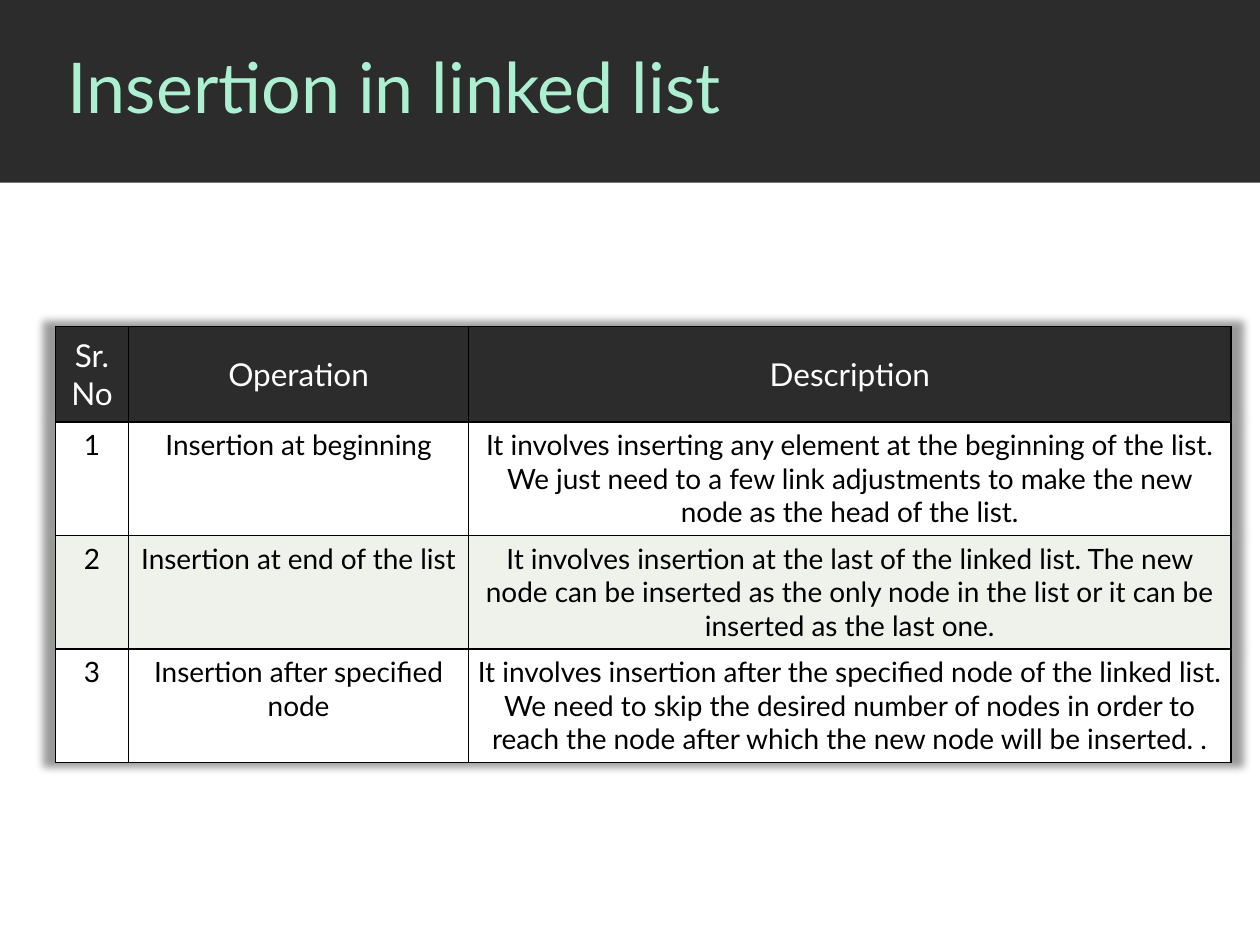
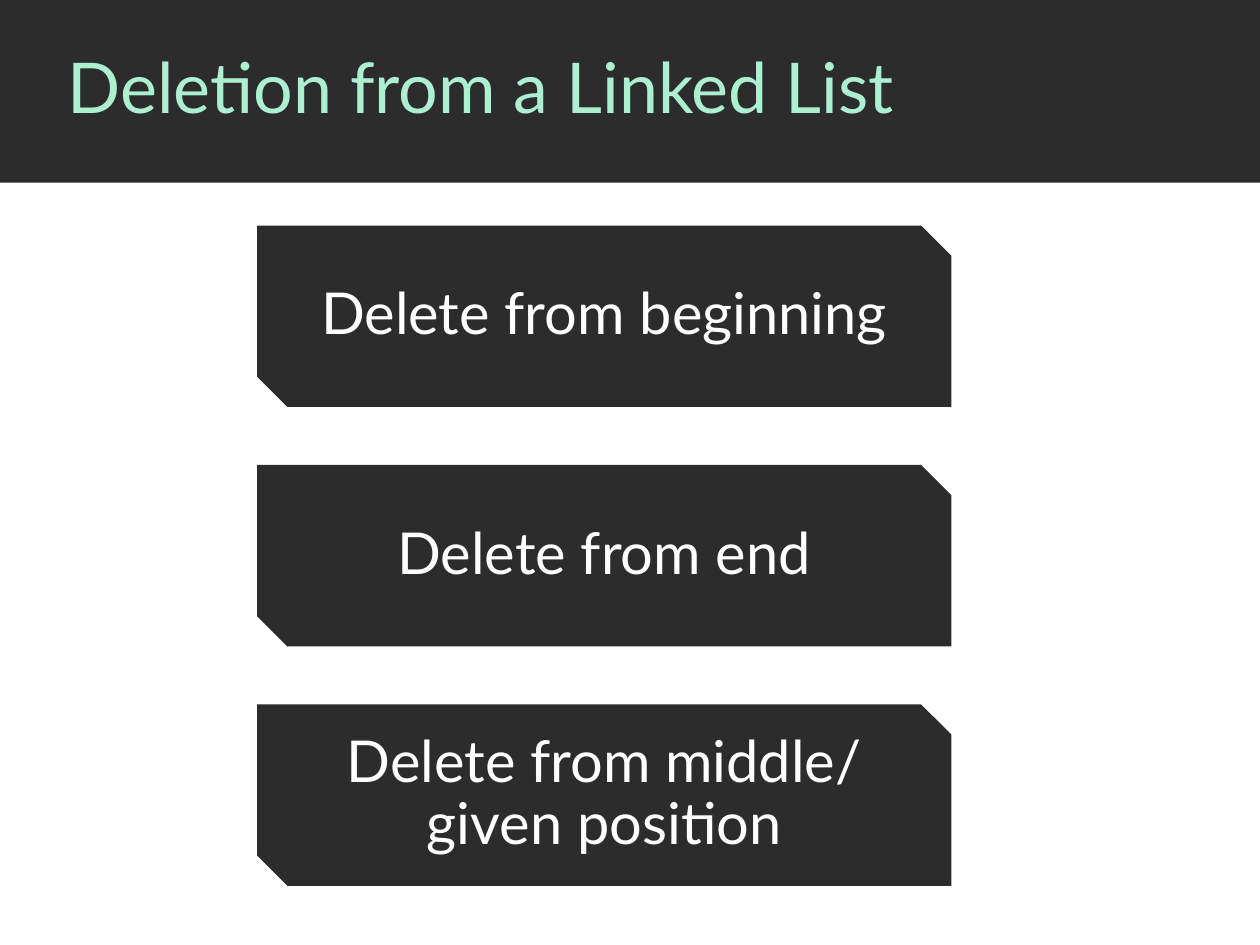
from dataclasses import dataclass
from typing import Any

from lxml.etree import fromstring
from pptx import Presentation
from pptx.dml.color import RGBColor as RGB
from pptx.enum.shapes import MSO_SHAPE as Form
from pptx.enum.text import MSO_ANCHOR as Anchor, PP_ALIGN as Align
from pptx.util import Inches, Pt

DARK, MINT, WHITE, BLACK, PALE = "2C2C2C", "ADF0D1", "FFFFFF", "000000", "EFF1EB"
NS = 'xmlns:a="http://schemas.openxmlformats.org/drawingml/2006/main"'
SIDES = ("left", "right", "top", "bottom")


@dataclass(frozen=True)
class Style:
    size: float
    color: str
    align: Any = Align.CENTER
    anchor: Any = Anchor.MIDDLE
    gap: float = 1.0
    pad: tuple[float, float] = (0.1, 0.05)


TITLE = Style(40, MINT, align=Align.LEFT, gap=0.9)
CARD = Style(33, WHITE, gap=0.9, pad=(0.23, 0.16))
HEAD = Style(18, WHITE, pad=(0.08, 0.08))
BODY = Style(16, BLACK, anchor=Anchor.TOP, pad=(0.05, 0.05))

HEADS = ("Sr. No", "Operation", "Description")
ROWS = (
    ("1", "Insertion at beginning",
     "It involves inserting any element at the beginning of the list. We just need "
     "to a few link adjustments to make the new node as the head of the list."),
    ("2", "Insertion at end of the list",
     "It involves insertion at the last of the linked list. The new node can be "
     "inserted as the only node in the list or it can be inserted as the last one."),
    ("3", "Insertion after specified node",
     "It involves insertion after the specified node of the linked list. We need to "
     "skip the desired number of nodes in order to reach the node after which the "
     "new node will be inserted. ."),
)
COLS = (0.58, 2.7, 6.05)
CARDS = (
    "Delete from beginning",
    "Delete from end",
    "Delete from middle/ given position",
)


def tint(value: str) -> RGB:
    return RGB.from_string(value)


def apply(item: Any, values: dict[str, Any]) -> None:
    for name, value in values.items():
        setattr(item, name, value)


def paint(item: Any, color: str) -> None:
    item.fill.solid()
    item.fill.fore_color.rgb = tint(color)


def write(host: Any, frame: Any, text: str, style: Style) -> None:
    """Fill a frame; host is the cell or frame that owns margins and anchor."""
    wide, high = map(Inches, style.pad)
    pads = (wide, wide, high, high)
    apply(host, {f"margin_{side}": pad for side, pad in zip(SIDES, pads)})
    host.vertical_anchor = style.anchor
    frame.word_wrap = True
    para = frame.paragraphs[0]
    para.text = text
    apply(para, {"alignment": style.align, "line_spacing": style.gap})
    apply(para.font, {"name": "Lato", "size": Pt(style.size), "bold": False})
    para.font.color.rgb = tint(style.color)


def block(slide: Any, form: Any, box: tuple[float, ...]) -> Any:
    shape = slide.shapes.add_shape(form, *map(Inches, box))
    shape.shadow.inherit = False
    paint(shape, DARK)
    shape.line.fill.background()
    return shape


def start(deck: Any, title: str) -> Any:
    """Add a slide with the dark band and its title."""
    slide = deck.slides.add_slide(deck.slide_layouts[6])
    block(slide, Form.RECTANGLE, (0, 0, 10, 1.45))
    box = slide.shapes.add_textbox(*map(Inches, (0.44, 0, 9.56, 1.44)))
    write(box.text_frame, box.text_frame, title, TITLE)
    return slide


def edge(cell: Any) -> None:
    for side in "LRTB":
        cell._tc.get_or_add_tcPr().append(fromstring(
            f'<a:ln{side} {NS} w="{Pt(1)}"><a:solidFill>'
            f'<a:srgbClr val="{BLACK}"/></a:solidFill></a:ln{side}>'))


def grid(slide: Any) -> None:
    lines = (HEADS, *ROWS)
    spot = map(Inches, (0.44, 2.59, sum(COLS), 3.45))
    table = slide.shapes.add_table(len(lines), len(COLS), *spot).table
    table.horz_banding = False
    for col, width in zip(table.columns, COLS):
        col.width = Inches(width)
    for r, line in enumerate(lines):
        table.rows[r].height = Inches(0.9 if r else 0.75)
        fill = (PALE if r % 2 == 0 else WHITE) if r else DARK
        for c, text in enumerate(line):
            cell = table.cell(r, c)
            edge(cell)
            paint(cell, fill)
            write(cell, cell.text_frame, text, BODY if r else HEAD)
    # Soft shadow around the whole table
    table._tbl.tblPr.insert(0, fromstring(
        f'<a:effectLst {NS}><a:outerShdw blurRad="{Pt(5)}" sx="102000" sy="102000" '
        f'algn="ctr" rotWithShape="0"><a:srgbClr val="{BLACK}">'
        '<a:alpha val="40000"/></a:srgbClr></a:outerShdw></a:effectLst>'))


def main() -> None:
    deck = Presentation()
    apply(deck, {"slide_width": Inches(10), "slide_height": Inches(7.5)})

    # Insertion table
    grid(start(deck, "Insertion in linked list"))

    # Deletion cards
    slide = start(deck, "Deletion from a Linked List")
    for i, text in enumerate(CARDS):
        card = block(slide, Form.SNIP_2_DIAG_RECTANGLE, (2.04, 1.79 + 1.9 * i, 5.51, 1.44))
        write(card.text_frame, card.text_frame, text, CARD)

    deck.save("out.pptx")


if __name__ == "__main__":
    main()
